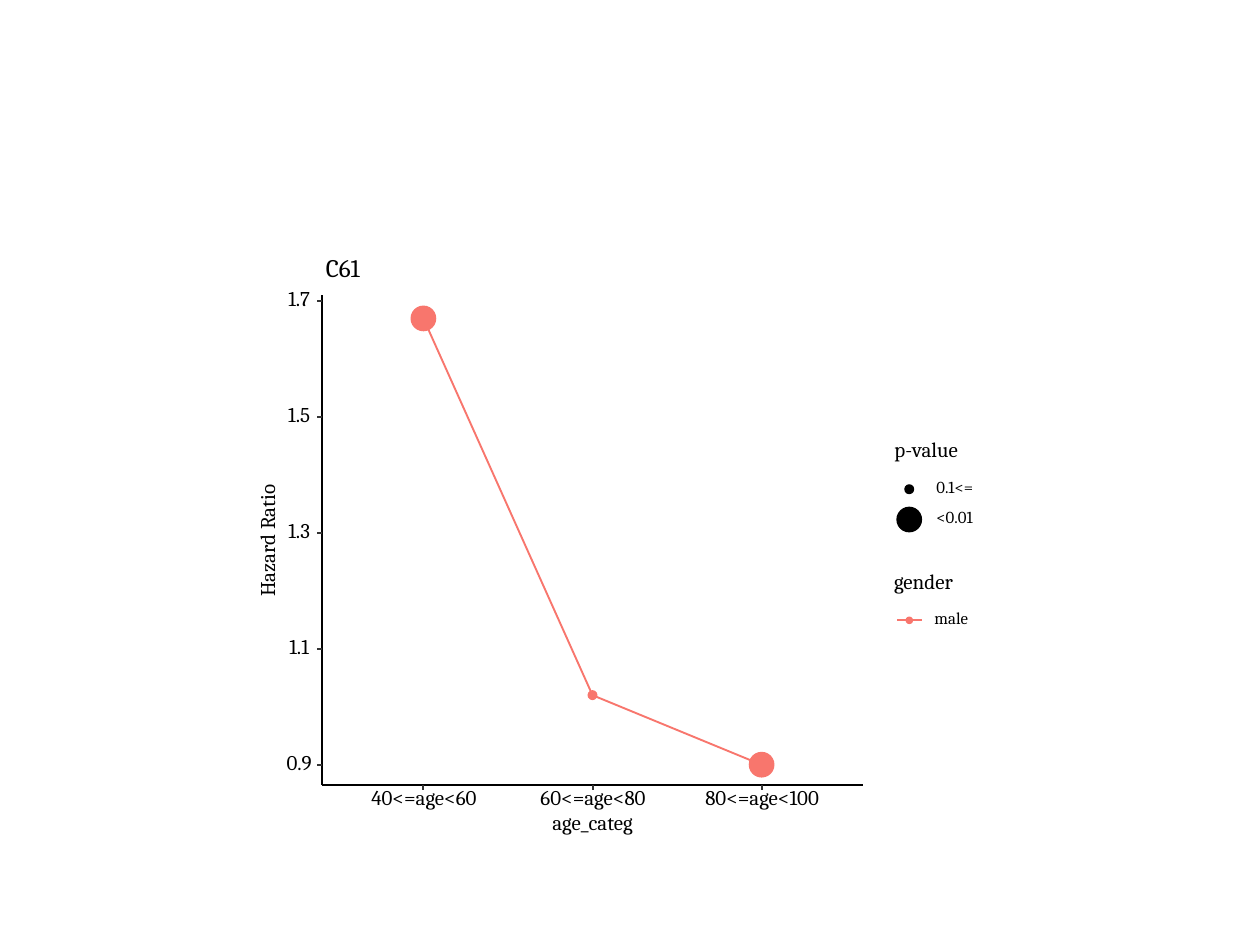
from lxml import etree
from pptx import Presentation
from pptx.dml.color import RGBColor
from pptx.enum import shapes, text
from pptx.oxml import ns
from pptx.util import Pt

HUES = {"paper": "FFFFFF", "ink": "000000", "tick": "333333", "male": "F8766D"}
FONT = "Cambria"
BIG, SMALL = 14, 5
TICKS = (0.9, 1.1, 1.3, 1.5, 1.7)
GROUPS = (("40<=age<60", 61.2, 1.67, BIG),
          ("60<=age<80", 61.2, 1.02, SMALL),
          ("80<=age<100", 67, 0.9, BIG))


def tint(name):
    """Return the named colour."""
    return RGBColor.from_string(HUES[name])


def paint(shape, fill, edge=None, width=0.71):
    """Fill and outline a shape without a shadow."""
    shape.shadow.inherit = False
    if fill:
        shape.fill.solid()
        shape.fill.fore_color.rgb = tint(fill)
    else:
        shape.fill.background()
    if edge:
        shape.line.color.rgb = tint(edge)
        shape.line.width = Pt(width)
    else:
        shape.line.fill.background()


def panel(slide, box, edge=None):
    """Draw a white backing panel."""
    kind = shapes.MSO_SHAPE.RECTANGLE
    paint(slide.shapes.add_shape(kind, *map(Pt, box)), "paper", edge, 1.16)


def dot(slide, x, y, size, hue):
    """Draw a round mark centred on a point."""
    box = map(Pt, (x - size / 2, y - size / 2, size, size))
    paint(slide.shapes.add_shape(shapes.MSO_SHAPE.OVAL, *box), hue, hue)


def rule(slide, x1, y1, x2, y2, hue, width=1.07):
    """Draw a straight line between two points."""
    line = slide.shapes.add_connector(
        shapes.MSO_CONNECTOR.STRAIGHT, *map(Pt, (x1, y1, x2, y2)))
    line.line.color.rgb = tint(hue)
    line.line.width = Pt(width)
    etree.SubElement(line._element.spPr, ns.qn("a:effectLst"))


def label(slide, words, x, y, width, height=10.8, size=12, turn=0):
    """Write one line of text, centred on a point."""
    box = slide.shapes.add_textbox(
        *map(Pt, (x - width / 2, y - height / 2, width, height)))
    box.rotation = turn
    frame = box.text_frame
    frame.margin_left = frame.margin_right = 0
    frame.margin_top = frame.margin_bottom = 0
    frame.word_wrap = False
    frame.vertical_anchor = text.MSO_ANCHOR.MIDDLE
    frame.text = words
    para = frame.paragraphs[0]
    para.alignment = text.PP_ALIGN.CENTER
    para.line_spacing = Pt(size)
    font = para.runs[0].font
    font.name, font.size = FONT, Pt(size)
    font.color.rgb = tint("ink")


def plot(slide, left, top, width, height):
    """Draw the hazard ratio plot with its axes and titles."""
    panel(slide, (left, top, width, height))
    base = top + height
    step = width / (len(GROUPS) + 0.2)
    scale = 331.2

    def rise(value):
        """Return the height on the page of a ratio."""
        return base - 11.5 - (value - TICKS[0]) * scale

    spots = [(left + step * (i + 0.6), rise(ratio))
             for i, (_, _, ratio, _) in enumerate(GROUPS)]
    points = [(Pt(x), Pt(y)) for x, y in spots]
    path = slide.shapes.build_freeform(*points[0], scale=1.0)
    path.add_line_segments(points[1:], close=False)
    paint(path.convert_to_shape(), None, "male", 1.07)
    for (x, y), (_, _, _, size) in zip(spots, GROUPS):
        dot(slide, x, y, size, "male")

    rule(slide, left, base, left, top, "ink")
    for value in TICKS:
        y = rise(value)
        label(slide, f"{value}", left - 13, y - 0.3, 16, 8)
        rule(slide, left - 2.8, y, left, y, "tick", 1.16)
    rule(slide, left, base, left + width, base, "ink")
    for (x, _), (name, span, _, _) in zip(spots, GROUPS):
        rule(slide, x, base + 2.8, x, base, "tick", 1.16)
        label(slide, name, x + 0.3, base + 8.2, span)

    label(slide, "age_categ", left + width / 2, base + 22.3, 49, 10)
    label(slide, "Hazard Ratio", left - 30.4, top + height / 2 + 0.4,
          67, 8.6, turn=270)
    label(slide, "C61", left + 11.9, top - 14, 25, 10, 14.4)


def legend(slide, box, title, span, rows, hue, lined=False):
    """Draw a legend with one mark and one word per row."""
    panel(slide, box)
    left, top = box[:2]
    label(slide, title, left + 4.8 + span / 2, top + 9.7, span)
    for i, (words, wide, size) in enumerate(rows):
        x, y = left + 14.2, top + 31.2 + i * 17.3
        if lined:
            rule(slide, x - 7, y, x + 7, y, hue)
        dot(slide, x, y, size, hue)
        label(slide, words, left + 28 + wide / 2, y - 0.6, wide, 6.5, 9.6)


def main():
    """Build the slide and save it."""
    deck = Presentation()
    deck.slide_width, deck.slide_height = Pt(720), Pt(540)
    slide = deck.slides.add_slide(deck.slide_layouts[6])
    panel(slide, (144, 144, 425.5, 340), "paper")
    plot(slide, 184, 168.5, 309.2, 280)
    legend(slide, (505.4, 248.4, 58.3, 63.4), "p-value", 38,
           (("0.1<=", 24.4, SMALL), ("<0.01", 24, BIG)), "ink")
    legend(slide, (505.4, 323.3, 54, 46), "gender", 35,
           (("male", 20.4, 3.6),), "male", lined=True)
    deck.save("out.pptx")


if __name__ == "__main__":
    main()
